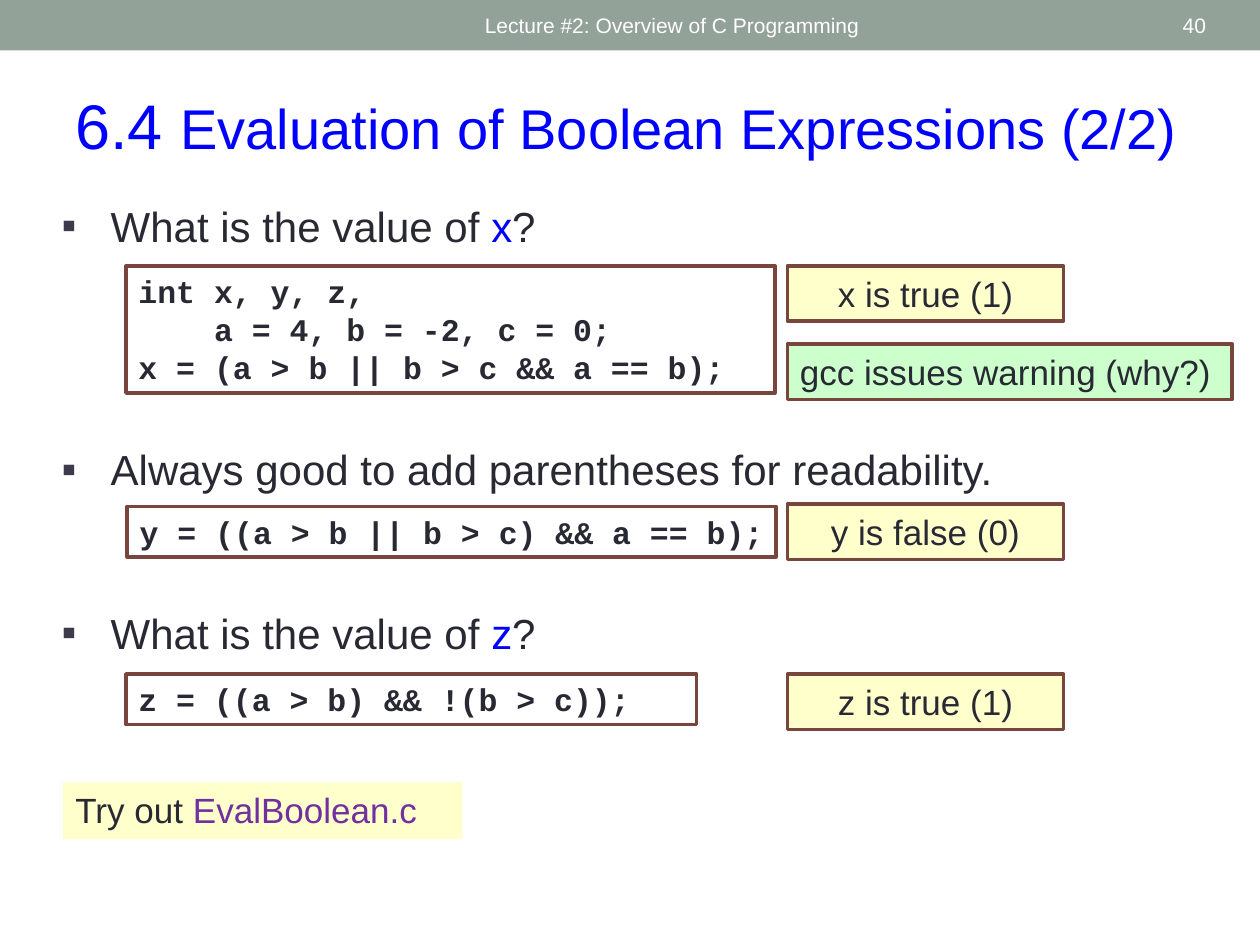
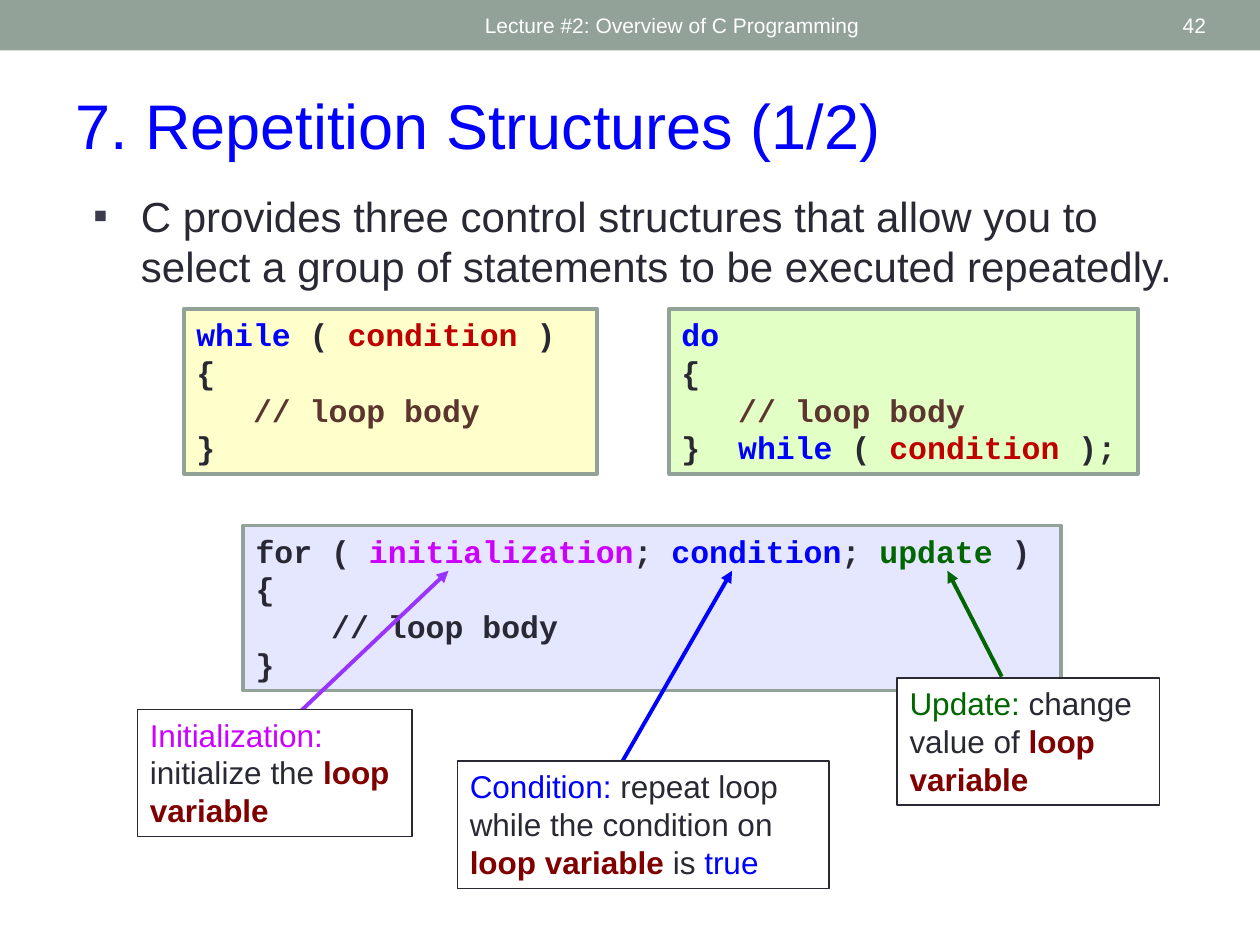
import pptx
import pptx.util
import pptx.dml.color
import pptx.enum.shapes
import pptx.enum.text
import pptx.oxml.ns
from dataclasses import dataclass
from lxml import etree
from pptx.util import Inches

ALIGN = pptx.enum.text.PP_ALIGN
ANCHOR = pptx.enum.text.MSO_ANCHOR


@dataclass(frozen=True)
class Theme:
    sans: str = "Arial"
    mono: str = "Courier New"
    ink: str = "292934"
    bullet: str = "3B3B4B"
    white: str = "FFFFFF"
    blue: str = "0000FF"
    sage: str = "93A299"
    brown: str = "79463D"
    comment: str = "5B352E"
    red: str = "C00000"
    maroon: str = "800000"
    purple: str = "7030A0"
    violet: str = "9933FF"
    magenta: str = "CC00FF"
    green: str = "006600"
    yellow: str = "FFFFCC"
    mint: str = "CCFFCC"
    lime: str = "E2FFC5"
    lavender: str = "E5E6FF"
    title_size: int = 36
    long_title_size: int = 32
    body_size: int = 24
    label_size: int = 20
    code_size: int = 18
    band_size: int = 12
    thick: float = 2.08
    arrow: float = 2.25
    thin: float = 0.75


def rgb(code):
    return pptx.dml.color.RGBColor.from_string(code)


class LectureDeck:
    def __init__(self, theme):
        self.theme = theme
        self.deck = pptx.Presentation()
        self.deck.slide_width, self.deck.slide_height = Inches(10), Inches(7.5)
        self.page = None

    def add_page(self, number, title):
        t = self.theme
        self.page = self.deck.slides.add_slide(self.deck.slide_layouts[6])
        self.panel((0, 0, 10, 0.4), t.sage)
        band = dict(size=t.band_size, color=t.white, anchor=ANCHOR.MIDDLE)
        self.text((3.75, 0.02, 4.5, 0.36), ["Lecture #2: Overview of C Programming"], **band)
        self.text((8.72, 0.02, 0.95, 0.36), [str(number)], align=ALIGN.RIGHT, **band)
        self.text((0.5, 0.64, 9.29, 0.71), [title], size=t.title_size, color=t.blue)

    def set_lines(self, box, lines, size, color=None, font=None, bold=False,
                  align=ALIGN.LEFT, anchor=ANCHOR.TOP, bullet_indent=None):
        """Fill a box; a line is a string or a list of strings and (text, font settings)."""
        frame = box.text_frame
        frame.word_wrap = True
        frame.vertical_anchor = anchor
        for index, line in enumerate(lines):
            para = frame.add_paragraph() if index else frame.paragraphs[0]
            if bullet_indent:
                self.add_bullet(para, bullet_indent)
            para.alignment = align
            para.font.name = font or self.theme.sans
            para.font.size = pptx.util.Pt(size)
            para.font.bold = bold
            para.font.color.rgb = rgb(color or self.theme.ink)
            for piece in [line] if isinstance(line, str) else line:
                words, look = (piece, {}) if isinstance(piece, str) else piece
                span = para.add_run()
                span.text = words
                if "color" in look:
                    span.font.color.rgb = rgb(look["color"])
                if "size" in look:
                    span.font.size = pptx.util.Pt(look["size"])
                if "bold" in look:
                    span.font.bold = look["bold"]

    def add_bullet(self, para, indent):
        props = para._p.get_or_add_pPr()
        props.set("marL", str(Inches(indent)))
        props.set("indent", str(-Inches(indent)))
        tag = pptx.oxml.ns.qn
        tint = etree.SubElement(props, tag("a:buClr"))
        etree.SubElement(tint, tag("a:srgbClr"), val=self.theme.bullet)
        etree.SubElement(props, tag("a:buFont"), typeface=self.theme.sans)
        etree.SubElement(props, tag("a:buChar"), char="▪")

    def text(self, place, lines, **style):
        box = self.page.shapes.add_textbox(*map(Inches, place))
        self.set_lines(box, lines, **style)

    def bullet(self, place, line, indent=0.39):
        self.text(place, [line], size=self.theme.body_size, bullet_indent=indent)

    def panel(self, place, fill, line=None, width=None):
        kind = pptx.enum.shapes.MSO_SHAPE.RECTANGLE
        box = self.page.shapes.add_shape(kind, *map(Inches, place))
        box.shadow.inherit = False
        box.fill.solid()
        box.fill.fore_color.rgb = rgb(fill)
        if line:
            box.line.color.rgb = rgb(line)
            box.line.width = pptx.util.Pt(width)
        else:
            box.line.fill.background()
        return box

    def code(self, place, lines, fill, line):
        box = self.panel(place, fill, line, self.theme.thick)
        self.set_lines(box, lines, self.theme.code_size, font=self.theme.mono, bold=True)

    def label(self, place, line, fill, border=None, align=ALIGN.LEFT):
        box = self.panel(place, fill, border, self.theme.thick)
        self.set_lines(box, [line], self.theme.label_size, align=align)

    def callout(self, place, line):
        box = self.panel(place, self.theme.white, self.theme.ink, self.theme.thin)
        self.set_lines(box, [line], self.theme.code_size)

    def arrow(self, start, end, color):
        straight = pptx.enum.shapes.MSO_CONNECTOR.STRAIGHT
        link = self.page.shapes.add_connector(straight, *map(Inches, start + end))
        link.line.color.rgb = rgb(color)
        link.line.width = pptx.util.Pt(self.theme.arrow)
        tag = pptx.oxml.ns.qn
        etree.SubElement(link.line._get_or_add_ln(), tag("a:tailEnd"), type="triangle")
        etree.SubElement(link._element.spPr, tag("a:effectLst"))


def boolean_page(show):
    t = show.theme
    show.add_page(40, ["6.4 ", ("Evaluation of Boolean Expressions (2/2)",
                                {"size": t.long_title_size})])

    for top, line in ((1.54, ["What is the value of ", ("x", {"color": t.blue}), "?"]),
                      (3.47, "Always good to add parentheses for readability."),
                      (4.77, ["What is the value of ", ("z", {"color": t.blue}), "?"])):
        show.bullet((0.39, top, 9.18, 0.65), line)

    for place, lines in (
            ((1, 2.11, 5.15, 1.01), ["int x, y, z,", "    a = 4, b = -2, c = 0;",
                                     "x = (a > b || b > c && a == b);"]),
            ((1.01, 4.02, 5.15, 0.4), ["y = ((a > b || b > c) && a == b);"]),
            ((1, 5.35, 4.53, 0.4), ["z = ((a > b) && !(b > c));"])):
        show.code(place, lines, t.white, t.brown)

    for top, answer in ((2.11, "x is true (1)"), (4, "y is false (0)"), (5.35, "z is true (1)")):
        show.label((6.25, top, 2.19, 0.44), answer, t.yellow, t.brown, ALIGN.CENTER)
    show.label((6.25, 2.73, 3.53, 0.44), "gcc issues warning (why?)", t.mint, t.brown)
    show.label((0.5, 6.21, 3.17, 0.45), ["Try out ", ("EvalBoolean.c", {"color": t.purple})],
               t.yellow)


def repetition_page(show):
    t = show.theme
    show.add_page(42, "7. Repetition Structures (1/2)")
    show.bullet((0.64, 1.46, 9.07, 0.99),
                "C provides three control structures that allow you to select "
                "a group of statements to be executed repeatedly.", 0.38)

    while_word = ("while", {"color": t.blue})
    condition = ("condition", {"color": t.red})
    loop_body = ["   ", ("// loop body", {"color": t.comment})]
    show.code((1.46, 2.45, 3.28, 1.31),
              [[while_word, " ( ", condition, " )"], "{", loop_body, "}"], t.yellow, t.sage)
    show.code((5.31, 2.45, 3.72, 1.31),
              [[("do", {"color": t.blue})], "{", loop_body,
               ["}  ", while_word, " ( ", condition, " );"]], t.lime, t.sage)
    show.code((1.93, 4.17, 6.49, 1.31),
              [["for ( ", ("initialization", {"color": t.magenta}), "; ",
                ("condition", {"color": t.blue}), "; ",
                ("update", {"color": t.green}), " )"],
               "{", "    // loop body", "}"], t.lavender, t.sage)

    variable = ("loop variable", {"color": t.maroon, "bold": True})
    parts = (
        ((2.37, 5.66), (3.56, 4.53), t.violet, (1.09, 5.63, 2.18, 1.01),
         [("Initialization: ", {"color": t.magenta}), "initialize the ", variable]),
        ((4.74, 6.39), (5.81, 4.53), t.blue, (3.63, 6.04, 2.95, 1.01),
         [("Condition: ", {"color": t.blue}), "repeat loop while the condition on ",
          variable, " is ", ("true", {"color": t.blue})]),
        ((7.95, 5.37), (7.52, 4.53), t.green, (7.12, 5.38, 2.08, 1.01),
         [("Update: ", {"color": t.green}), "change value of ", variable]))
    for start, end, color, place, line in parts:
        show.arrow(start, end, color)
        show.callout(place, line)


def main():
    show = LectureDeck(Theme())
    boolean_page(show)
    repetition_page(show)
    show.deck.save("out.pptx")


if __name__ == "__main__":
    main()
